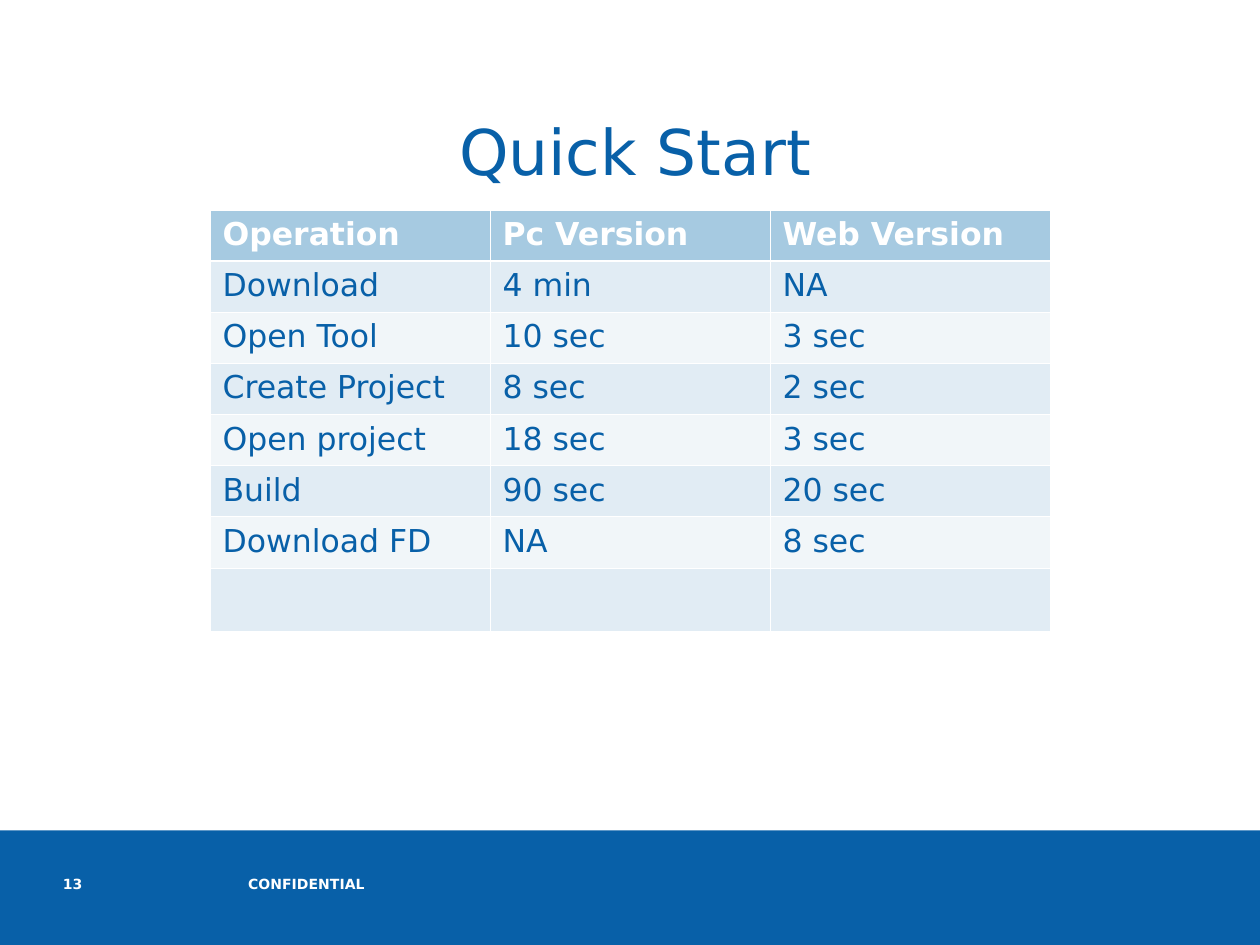
"""Build the Quick Start slide comparing PC and web version timings."""
from lxml.etree import SubElement
from pptx import Presentation
from pptx.dml.color import RGBColor
from pptx.enum.shapes import MSO_SHAPE as SHAPE
from pptx.enum.text import MSO_ANCHOR as ANCHOR, PP_ALIGN as ALIGN
from pptx.oxml.ns import qn
from pptx.util import Inches, Pt

COLORS = {"blue": "0860A8", "header": "A6CAE1", "odd": "E1ECF4",
          "even": "F1F6F9", "white": "FFFFFF"}
FONT = "DejaVu Sans"
ROWS = [
    ("Operation", "Pc Version", "Web Version"),
    ("Download", "4 min", "NA"),
    ("Open Tool", "10 sec", "3 sec"),
    ("Create Project", "8 sec", "2 sec"),
    ("Open project", "18 sec", "3 sec"),
    ("Build", "90 sec", "20 sec"),
    ("Download FD", "NA", "8 sec"),
    ("", "", ""),
]


def add_text(tf, text, size, color, bold=False):
    p = tf.paragraphs[0]
    r = p.add_run()
    r.text = text
    r.font.name, r.font.size, r.font.bold = FONT, Pt(size), bold
    r.font.color.rgb = RGBColor.from_string(COLORS[color])
    return p


def add_border(cell, side, width):
    ln = SubElement(cell._tc.get_or_add_tcPr(), qn(f"a:{side}"), w=str(Pt(width)))
    fill = SubElement(ln, qn("a:solidFill"))
    SubElement(fill, qn("a:srgbClr"), val=COLORS["white"])


prs = Presentation()
prs.slide_width, prs.slide_height = Inches(10), Inches(7.5)
W, H = prs.slide_width, prs.slide_height
s = prs.slides.add_slide(prs.slide_layouts[5])

band_top = Inches(6.59)
band = s.shapes.add_shape(SHAPE.RECTANGLE, 0, band_top, W, H - band_top)
band.shadow.inherit = False
band.fill.solid()
band.fill.fore_color.rgb = RGBColor.from_string(COLORS["blue"])
band.line.fill.background()

for text, left, width in [("CONFIDENTIAL", 1.97, 4.17), ("13", 0.5, 0.46)]:
    sp = s.shapes.add_textbox(Inches(left), Inches(6.95), Inches(width), Inches(0.33))
    tf = sp.text_frame
    tf.word_wrap = True
    tf.margin_left = tf.margin_right = tf.margin_top = tf.margin_bottom = 0
    add_text(tf, text, 8, "white", bold=True)

title = s.shapes.title
title.left, title.top = Inches(1.58), Inches(0.84)
title.width, title.height = Inches(6.92), Inches(0.7)
title.text_frame.vertical_anchor = ANCHOR.TOP
add_text(title.text_frame, "Quick Start", 36, "blue").alignment = ALIGN.CENTER

row_h, last_h = Inches(3.25) // len(ROWS), Inches(0.5)
table = s.shapes.add_table(len(ROWS), len(ROWS[0]), W // 6, H * 2 // 9, W * 2 // 3,
                           row_h * (len(ROWS) - 1) + last_h).table
for i, row in enumerate(ROWS):
    table.rows[i].height = last_h if i == len(ROWS) - 1 else row_h
    fill = "header" if i == 0 else "odd" if i % 2 else "even"
    for j, text in enumerate(row):
        cell = table.cell(i, j)
        for side, width in [("lnL", 0.45), ("lnR", 0.45),
                            ("lnT", 1.47 if i == 1 else 0.45),
                            ("lnB", 1.47 if i == 0 else 0.45)]:
            add_border(cell, side, width)
        cell.fill.solid()
        cell.fill.fore_color.rgb = RGBColor.from_string(COLORS[fill])
        if text:
            add_text(cell.text_frame, text, 18, "blue" if i else "white", bold=i == 0)

prs.save("out.pptx")
